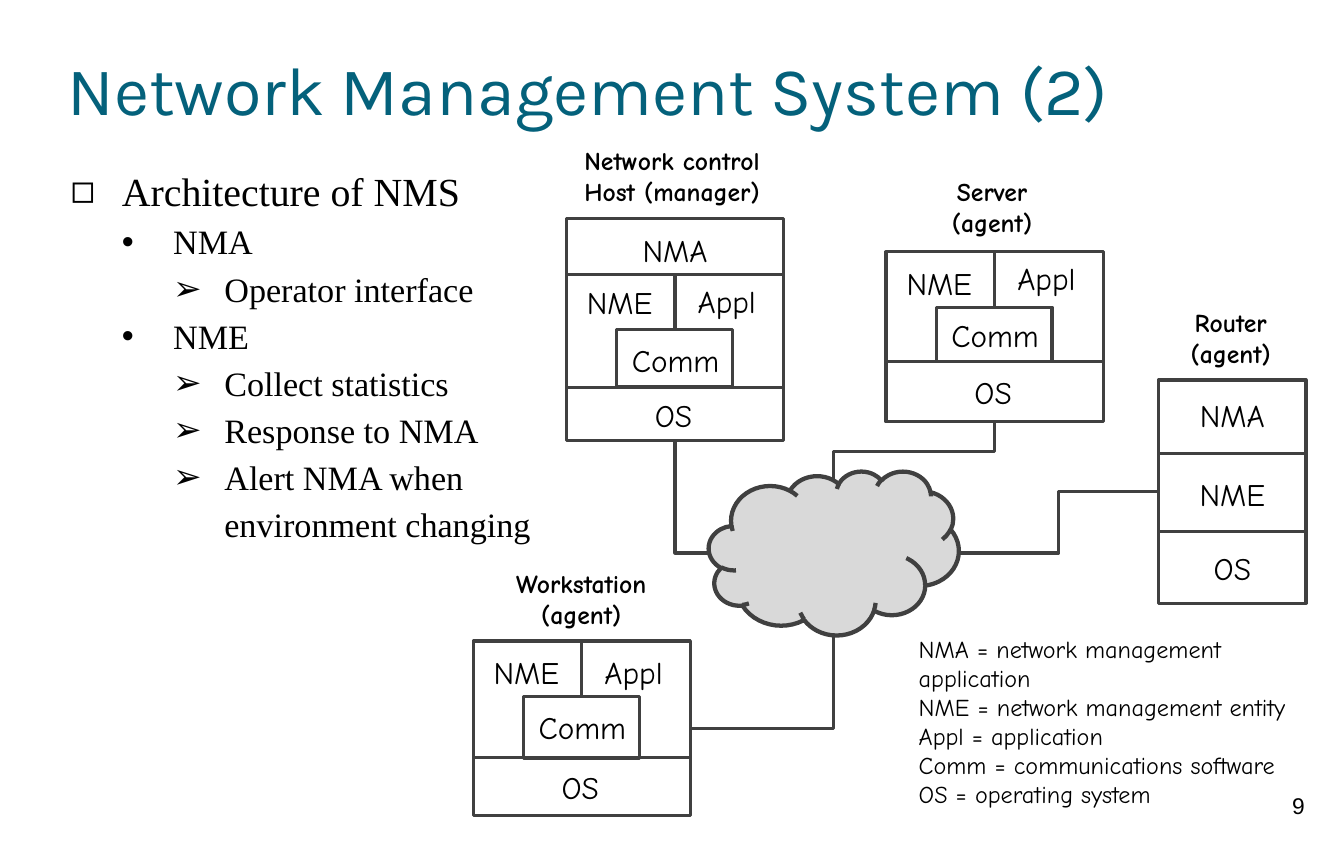
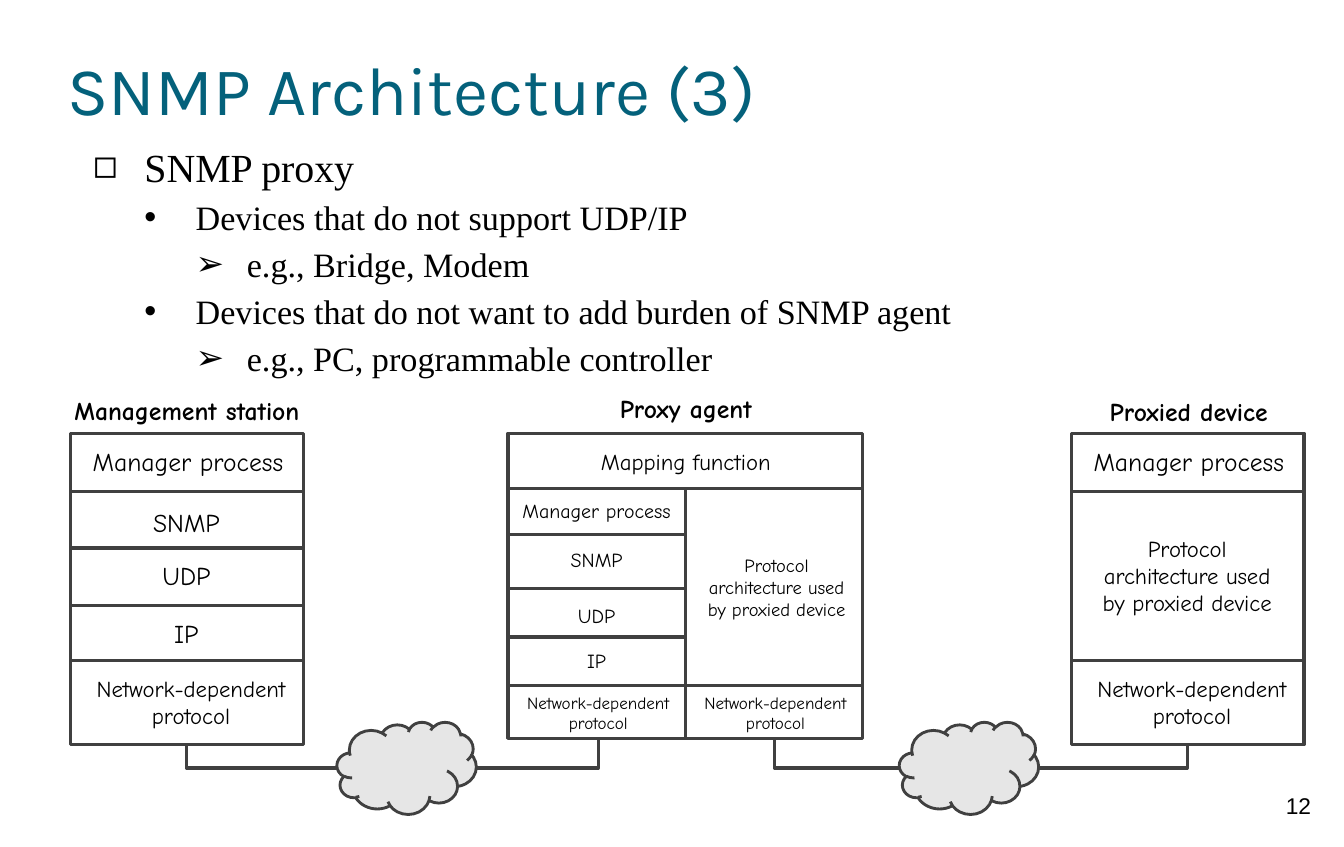
import dataclasses

import lxml.etree
import pptx
import pptx.dml.color
import pptx.enum.shapes
import pptx.enum.text
import pptx.oxml.ns
import pptx.util

SHAPE = pptx.enum.shapes.MSO_SHAPE
CONNECTOR = pptx.enum.shapes.MSO_CONNECTOR
ALIGN = pptx.enum.text.PP_ALIGN
ANCHOR = pptx.enum.text.MSO_ANCHOR
AUTO_SIZE = pptx.enum.text.MSO_AUTO_SIZE
qn = pptx.oxml.ns.qn

BOX_LEFT, BOX_BOTTOM, BOX_RIGHT = 1, 2, 3
CLOUD_RIGHT, CLOUD_BOTTOM, CLOUD_LEFT, CLOUD_TOP = range(4)


@dataclasses.dataclass(frozen=True)
class Theme:
    title_color: str = "04617B"
    text_color: str = "000000"
    line_color: str = "404040"
    cloud_dark: str = "D9D9D9"
    cloud_light: str = "E6E6E6"
    title_font: str = "Karla"
    body_font: str = "Times New Roman"
    diagram_font: str = "Comic Neue"
    number_font: str = "Arial"
    title_size: int = 48
    body_sizes: tuple = (28, 24, 24)
    bullets: tuple = ("◻", "•", "➢")
    number_size: int = 16
    node_size: int = 22
    head_size: int = 18
    legend_size: int = 17
    layer_size: int = 18
    layer_note_size: int = 16
    proxy_layer_size: int = 14
    proxy_note_size: int = 13
    proxy_base_size: int = 12
    line_width: float = 2.25


def px(n):
    return pptx.util.Emu(round(n * 9144))


def rgb(color):
    return pptx.dml.color.RGBColor.from_string(color)


class Deck:
    def __init__(self, theme):
        self.theme = theme
        self.prs = pptx.Presentation()
        self.prs.slide_width, self.prs.slide_height = px(1312), px(827)

    def slide(self, title, number):
        t = self.theme
        self.s = self.prs.slides.add_slide(self.prs.slide_layouts[1])
        self.text(number, 1228, 763, 79, 63, t.number_size, font=t.number_font, inset=10)
        tf = self.placeholder(self.s.shapes.title, 66, 17, 1181, 138)
        tf.text = title
        tf.vertical_anchor = ANCHOR.MIDDLE
        tf.auto_size = AUTO_SIZE.NONE
        self.format(tf.paragraphs[0], t.title_size, t.title_font, t.title_color, ALIGN.LEFT)

    def placeholder(self, sp, x, y, w, h):
        sp.left, sp.top, sp.width, sp.height = map(px, (x, y, w, h))
        self.inset(sp.text_frame, 0)
        sp.text_frame.word_wrap = True
        return sp.text_frame

    def inset(self, tf, n):
        tf.margin_left = tf.margin_top = tf.margin_right = tf.margin_bottom = px(n)

    def format(self, p, size, font, color, align, bold=False):
        p.alignment = align
        for r in p.runs:
            r.font.size = pptx.util.Pt(size)
            r.font.name = font
            r.font.bold = bold
            r.font.color.rgb = rgb(color)

    def body(self, items, x, y, w, h):
        t = self.theme
        tf = self.placeholder(self.s.placeholders[1], x, y, w, h)
        tf.text = "\n".join(text for level, text in items)
        tf.vertical_anchor = ANCHOR.TOP
        tf.auto_size = AUTO_SIZE.SHAPE_TO_FIT_TEXT
        for p, (level, text) in zip(tf.paragraphs, items):
            p.level = level
            p.line_spacing = 1.15
            p.space_before = p.space_after = pptx.util.Pt(0)
            self.format(p, t.body_sizes[level], t.body_font, t.text_color, ALIGN.LEFT)
            self.bullet(p, level)

    def bullet(self, p, level):
        pPr = p._p.get_or_add_pPr()
        pPr.set("marL", str(px(75 + 50 * level)))
        pPr.set("indent", str(px(-50)))
        clr = lxml.etree.SubElement(pPr, qn("a:buClr"))
        lxml.etree.SubElement(clr, qn("a:srgbClr"), val=self.theme.text_color)
        lxml.etree.SubElement(pPr, qn("a:buChar"), char=self.theme.bullets[level])

    def text(self, text, x, y, w, h, size, bold=False, align=ALIGN.CENTER, font=None, inset=None):
        t = self.theme
        sp = self.s.shapes.add_textbox(*map(px, (x, y, w, h)))
        tf = sp.text_frame
        tf.word_wrap = True
        tf.text = text
        if inset is None:
            tf.auto_size = AUTO_SIZE.SHAPE_TO_FIT_TEXT
        else:
            self.inset(tf, inset)
        for p in tf.paragraphs:
            self.format(p, size, font or t.diagram_font, t.text_color, align, bold)
        return sp

    def head(self, text, x, y, w, h):
        self.text(text, x, y, w, h, self.theme.head_size, bold=True)

    def node(self, text, x, y, w):
        self.text(text, x, y, w, 47, self.theme.node_size)

    def stroke(self, sp, width=None):
        sp.line.color.rgb = rgb(self.theme.line_color)
        sp.line.width = pptx.util.Pt(width or self.theme.line_width)

    def box(self, x, y, w, h):
        sp = self.s.shapes.add_shape(SHAPE.RECTANGLE, *map(px, (x, y, w, h)))
        sp.shadow.inherit = False
        sp.fill.background()
        self.stroke(sp)
        return sp

    def cloud(self, x, y, w, h, fill, width):
        sp = self.s.shapes.add_shape(SHAPE.CLOUD, *map(px, (x, y, w, h)))
        sp.shadow.inherit = False
        sp.fill.solid()
        sp.fill.fore_color.rgb = rgb(fill)
        self.stroke(sp, width)
        return sp

    def stack(self, x, y, w, h, dividers):
        sp = self.box(x, y, w, h)
        for divider in dividers:
            self.line(x, divider, x + w, divider)
        return sp

    def connector(self, kind, x1, y1, x2, y2):
        c = self.s.shapes.add_connector(kind, *map(px, (x1, y1, x2, y2)))
        self.stroke(c)
        lxml.etree.SubElement(c._element.spPr, qn("a:effectLst"))
        return c

    def line(self, x1, y1, x2, y2):
        self.connector(CONNECTOR.STRAIGHT, x1, y1, x2, y2)

    def elbow(self, begin, end, points):
        c = self.connector(CONNECTOR.ELBOW, *points)
        c.begin_connect(*begin)
        c.end_connect(*end)
        c.begin_x, c.begin_y, c.end_x, c.end_y = map(px, points)
        return c._element.spPr

    def corner(self, begin, end, points):
        spPr = self.elbow(begin, end, points)
        spPr.find(qn("a:prstGeom")).set("prst", "bentConnector2")

    def upright_elbow(self, begin, end, points):
        x1, y1, x2, y2 = points
        cx, cy = (x1 + x2) / 2, (y1 + y2) / 2
        dx, dy = y2 - cy, cx - x2
        spPr = self.elbow(begin, end, (cx - dx, cy - dy, cx + dx, cy + dy))
        spPr.find(qn("a:xfrm")).set("rot", "5400000")

    def entity(self, x, top, comm, system, label_tops):
        self.box(x + 49, comm, 113, system - comm)
        self.line(x + 106, top, x + 106, comm)
        labels = (("NME", -1, 106), ("Appl", 100, 113), ("Comm", 50, 113), ("OS", 48, 113))
        for (text, dx, w), y in zip(labels, label_tops):
            self.node(text, x + dx, y, w)


def management_system(d):
    t = d.theme
    d.slide("Network Management System (2)", "9")
    d.body([(0, "Architecture of NMS"), (1, "NMA"), (2, "Operator interface"), (1, "NME"),
            (2, "Collect statistics"), (2, "Response to NMA"),
            (2, "Alert NMA when\venvironment changing")], 44, 156, 493, 379)
    cloud = d.cloud(692, 460, 244, 160, t.cloud_dark, 3)

    host = d.stack(553, 213, 212, 217, (268, 378))
    server = d.stack(865, 246, 212, 166, (353,))
    workstation = d.stack(462, 626, 212, 170, (740,))
    router = d.stack(1131, 371, 144, 218, (443, 519))

    for x, top, comm, system, label_tops in (
            (553, 268, 322, 378, (272, 271, 328, 382)),
            (865, 246, 300, 353, (253, 248, 304, 360)),
            (462, 626, 680, 741, (633, 633, 687, 745))):
        d.entity(x, top, comm, system, label_tops)
    d.node("NMA", 546, 221, 226)
    for text, y in (("NMA", 382), ("NME", 459), ("OS", 531)):
        d.node(text, 1147, y, 112)

    d.corner((cloud, CLOUD_LEFT), (host, BOX_BOTTOM), (693, 540, 659, 430))
    d.corner((workstation, BOX_RIGHT), (cloud, CLOUD_BOTTOM), (674, 711, 814, 620))
    d.elbow((cloud, CLOUD_RIGHT), (router, BOX_LEFT), (936, 540, 1131, 480))
    d.upright_elbow((server, BOX_BOTTOM), (cloud, CLOUD_TOP), (971, 412, 814, 470))

    d.text("NMA = network management application\nNME = network management entity\n"
           "Appl = application\nComm = communications software\nOS = operating system",
           887, 614, 415, 182, t.legend_size, align=ALIGN.LEFT)
    for text, x, y, w in (("Workstation\n(agent)", 471, 550, 193),
                          ("Server\n(agent)", 872, 167, 193),
                          ("Network control\nHost (manager)", 537, 137, 238),
                          ("Router\n(agent)", 1105, 295, 193)):
        d.head(text, x, y, w, 71)


def snmp_architecture(d):
    t = d.theme
    network_protocol = "Network-dependent\nprotocol"
    proxied_protocol = "Protocol\narchitecture used\nby proxied device"
    station_x, device_x = 69, 1046
    proxy_x, proxy_middle, proxy_right = 496, 669, 842

    d.slide("SNMP Architecture (3)", "12")
    d.body([(0, "SNMP proxy"), (1, "Devices that do not support UDP/IP"),
            (2, "e.g., Bridge, Modem"),
            (1, "Devices that do not want to add burden of SNMP agent"),
            (2, "e.g., PC, programmable controller")], 66, 132, 1184, 244)
    left_cloud, right_cloud = [d.cloud(x, 705, 136, 90, t.cloud_light, 2) for x in (329, 878)]

    station = d.stack(station_x, 423, 227, 304, (480, 535, 591, 645))
    device = d.stack(device_x, 423, 227, 304, (480, 645))
    for x in (station_x, device_x):
        d.text("Manager process", x + 1, 430, 227, 40, t.layer_size)
        d.text(network_protocol, x - 12, 654, 259, 64, t.layer_note_size)
    for text, y in (("SNMP", 490), ("UDP", 542), ("IP", 598)):
        d.text(text, station_x - 6, y, 238, 40, t.layer_size)
    d.text(proxied_protocol, device_x - 6, 517, 238, 91, t.layer_note_size)

    d.stack(proxy_x, 423, proxy_right - proxy_x, 298, (477, 669))
    d.line(proxy_middle, 477, proxy_middle, 721)
    for y in (522, 575, 622):
        d.line(proxy_x, y, proxy_middle, y)
    d.text("Mapping function", 556, 432, 227, 37, t.layer_note_size)
    for text, y in (("Manager process", 482), ("SNMP", 530), ("UDP", 584), ("IP", 628)):
        d.text(text, 469, y, 227, 34, t.proxy_layer_size)
    d.text(proxied_protocol, 639, 536, 238, 76, t.proxy_note_size)
    manager_side, device_side = [d.text(network_protocol, x - 4, 671, 184, 50, t.proxy_base_size)
                                 for x in (proxy_x, proxy_middle)]

    for text, x, y, w in (("Management station", 47, 381, 271),
                          ("Proxy agent", 556, 379, 227),
                          ("Proxied device", 1047, 382, 227)):
        d.head(text, x, y, w, 40)

    for cloud, side, box, x1, x2, bottom in (
            (left_cloud, CLOUD_LEFT, station, 329, 182, 727),
            (left_cloud, CLOUD_RIGHT, manager_side, 464, 584, 721),
            (right_cloud, CLOUD_LEFT, device_side, 878, 756, 721),
            (right_cloud, CLOUD_RIGHT, device, 1013, 1159, 727)):
        d.corner((cloud, side), (box, BOX_BOTTOM), (x1, 750, x2, bottom))


def main():
    d = Deck(Theme())
    management_system(d)
    snmp_architecture(d)
    d.prs.save("out.pptx")


if __name__ == "__main__":
    main()
